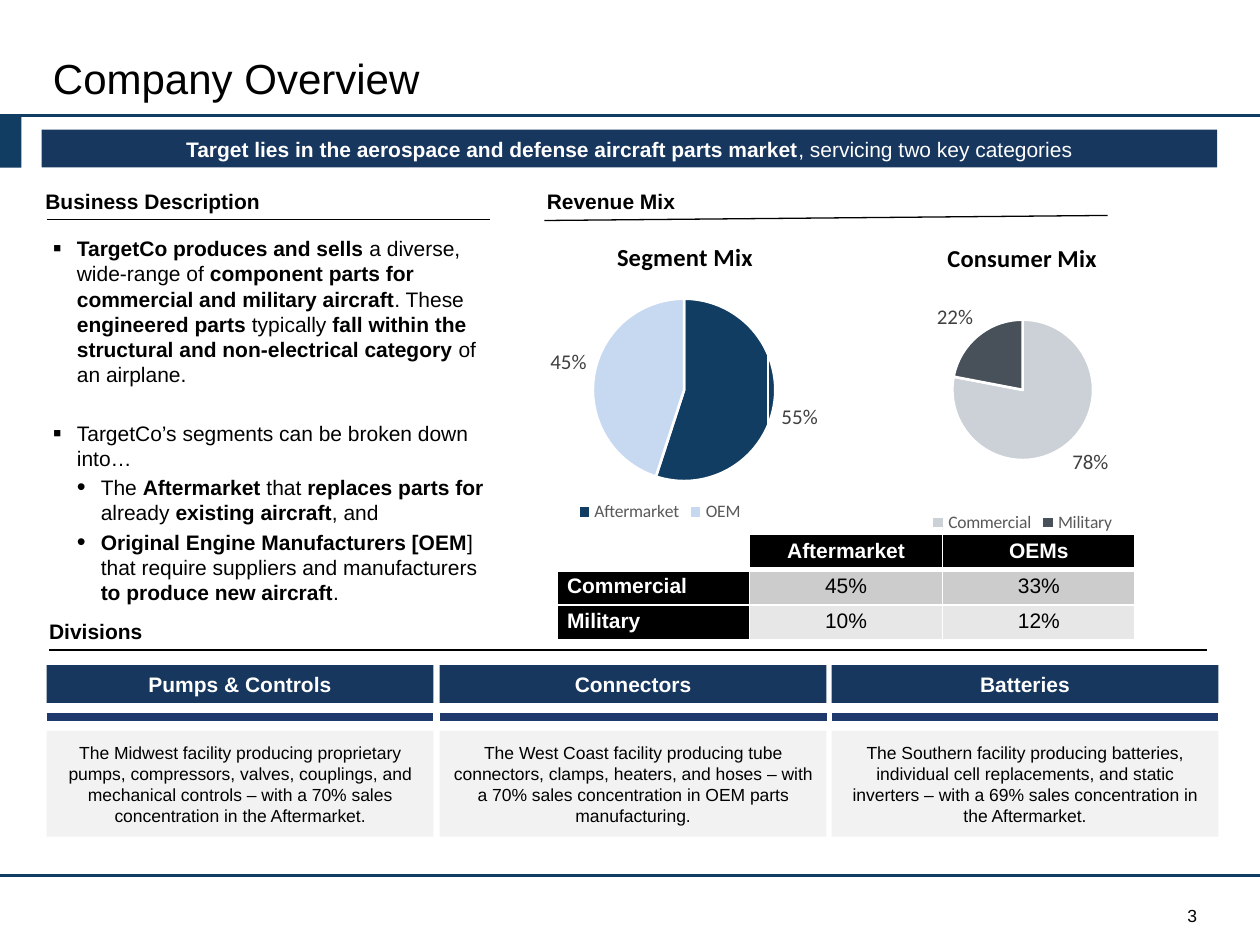
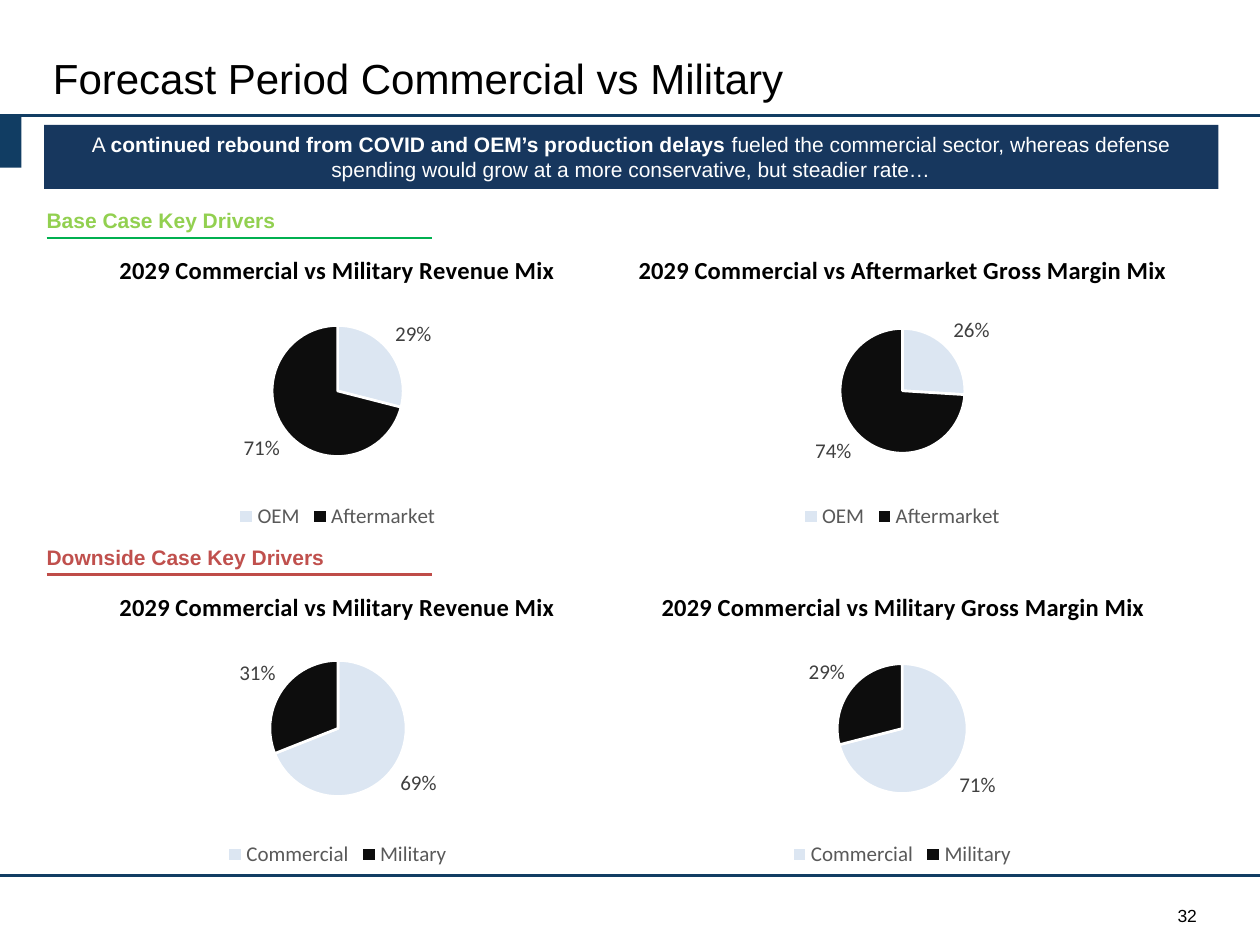
from lxml import etree
from pptx import Presentation
from pptx import util as u
from pptx.chart.data import CategoryChartData
from pptx.dml.color import RGBColor
from pptx.enum import chart as charts, shapes, text
from pptx.oxml import parse_xml
from pptx.oxml.ns import nsdecls, qn

WIDTH, HEIGHT = 10, 7.5
BLACK, WHITE, NAVY, BANNER, BAR = "000000", "FFFFFF", "113D63", "17375E", "20396D"
PALE, PANEL, INK = "DCE6F2", "F2F2F2", "0D0D0D"
LEFT, CENTER, RIGHT = text.PP_ALIGN.LEFT, text.PP_ALIGN.CENTER, text.PP_ALIGN.RIGHT
PADDING = (0.1, 0.05, 0.1, 0.05)

# Text between ** marks is bold.
OVERVIEW = dict(
    title="Company Overview", number="3", banner_at=(0.33, 1.03, 9.33, 0.3),
    banner="**Target lies in the aerospace and defense aircraft parts market**, "
           "servicing two key categories")
FORECAST = dict(
    title="Forecast Period Commercial vs Military", number="32",
    banner_at=(0.35, 0.99, 9.32, 0.51),
    banner="A **continued rebound from COVID and OEM’s production delays **fueled the "
           "commercial sector, whereas defense spending would grow at a more "
           "conservative, but steadier rate…")

# level, space before in points, text
DESCRIPTION = [
    (0, 0, "**TargetCo produces and sells **a diverse, wide-range of **component parts for "
           "commercial and military aircraft**. These **engineered parts **typically "
           "**fall within the structural and non-electrical category **of an airplane."),
    (0, 19, "TargetCo’s segments can be broken down into…"),
    (1, 2.4, "The **Aftermarket** that **replaces parts for** already **existing aircraft**, and"),
    (1, 2.4, "**Original Engine Manufacturers [OEM**] that require suppliers and "
             "manufacturers **to produce new aircraft**."),
]
# heading, its left, top and width, rule start, rule end, rule colour and weight, text colour
OVERVIEW_HEADINGS = [
    ("Business Description", (0.34, 1.48, 2.35), (0.37, 1.74), (3.89, 1.74), BLACK, 0.75, BLACK),
    ("Revenue Mix", (4.32, 1.48, 3.66), (4.32, 1.75), (8.79, 1.71), BLACK, 0.75, BLACK),
    ("Divisions", (0.37, 4.89, 4), (0.39, 5.16), (9.58, 5.16), BLACK, 0.75, BLACK),
]
FORECAST_HEADINGS = [
    ("Base Case Key Drivers", (0.35, 1.63, 3.98), (0.37, 1.89), (3.43, 1.89),
     "00B050", 1.5, "92D050"),
    ("Downside Case Key Drivers", (0.35, 4.3, 3.98), (0.37, 4.56), (3.43, 4.56),
     "BF4C48", 1.5, "C0504D"),
]
MIX_TABLE = [("", "Aftermarket", "OEMs"),
             ("Commercial", "45%", "33%"),
             ("Military", "10%", "12%")]
ROW_FILLS = [BLACK, "CCCCCC", "E7E7E7"]
# left edge, name, summary
DIVISIONS = [
    (0.37, "Pumps & Controls",
     "The Midwest facility producing proprietary pumps, compressors, valves, couplings, and "
     "mechanical controls – with a 70% sales concentration in the Aftermarket."),
    (3.49, "Connectors",
     "The West Coast facility producing tube connectors, clamps, heaters, and hoses – with a "
     "70% sales concentration in OEM parts manufacturing."),
    (6.6, "Batteries",
     "The Southern facility producing batteries, individual cell replacements, and static "
     "inverters – with a 69% sales concentration in the Aftermarket."),
]
SEGMENTS, CUSTOMERS = ("OEM", "Aftermarket"), ("Commercial", "Military")
# title, title width, pie diameter, categories, values, colours
SEGMENT_MIX = ("Segment Mix", 1.14, 1.45, ("Aftermarket", "OEM"), (0.55, 0.45),
               (NAVY, "C6D9F1"))
CONSUMER_MIX = ("Consumer Mix", 1.26, 1.12, CUSTOMERS, (0.78, 0.22), ("CCD1D7", "485059"))
FORECAST_PIES = [
    [("2029 Commercial vs Military Revenue Mix", 3.53, 1.04, SEGMENTS, (0.29, 0.71),
      (PALE, INK)),
     ("2029 Commercial vs Aftermarket Gross Margin Mix", 4.25, 0.99, SEGMENTS, (0.26, 0.74),
      (PALE, INK))],
    [("2029 Commercial vs Military Revenue Mix", 3.53, 1.08, CUSTOMERS, (0.69, 0.31),
      (PALE, INK)),
     ("2029 Commercial vs Military Gross Margin Mix", 3.89, 1.03, CUSTOMERS, (0.71, 0.29),
      (PALE, INK))],
]


def color(value):
    return RGBColor.from_string(value)


def inches(values):
    return [u.Inches(value) for value in values]


def style(font, size, ink, name="Arial", bold=None):
    font.size, font.name, font.bold = u.Pt(size), name, bold
    font.color.rgb = color(ink)


def add_spans(para, marked):
    for index, part in enumerate(marked.split("**")):
        if part:
            span = para.add_run()
            span.text = part
            span.font.bold = index % 2 == 1


def set_frame(frame, insets=(0, 0, 0, 0), anchor=text.MSO_ANCHOR.MIDDLE):
    frame.word_wrap, frame.auto_size = True, text.MSO_AUTO_SIZE.NONE
    frame.vertical_anchor = anchor
    (frame.margin_left, frame.margin_top,
     frame.margin_right, frame.margin_bottom) = inches(insets)


def write(box, marked, size, ink, align=LEFT, **frame_options):
    set_frame(box.text_frame, **frame_options)
    para = box.text_frame.paragraphs[0]
    para.alignment = align
    style(para.font, size, ink)
    add_spans(para, marked)


def move(shape, at):
    shape.left, shape.top, shape.width, shape.height = inches(at)


def add_box(slide, at, fill):
    box = slide.shapes.add_shape(shapes.MSO_SHAPE.RECTANGLE, *inches(at))
    box.shadow.inherit = False
    box.fill.solid()
    box.fill.fore_color.rgb = color(fill)
    box.line.fill.background()
    return box


def add_rule(slide, start, end, ink, weight):
    rule = slide.shapes.add_connector(shapes.MSO_CONNECTOR.STRAIGHT, *inches(start + end))
    rule.line.color.rgb = color(ink)
    rule.line.width = u.Pt(weight)
    etree.SubElement(rule._element.spPr, qn("a:effectLst"))


def add_slide(deck, layout, page):
    """Add a slide with the shared title, bands, banner and page number."""
    slide = deck.slides.add_slide(deck.slide_layouts[layout])
    for y in (0.92, 6.95):
        add_rule(slide, (0, y), (WIDTH, y), NAVY, 1.75)
    add_box(slide, (0, 0.92, 0.17, 0.41), NAVY)
    move(slide.shapes.title, (0.42, 0.42, 9.08, 0.4))
    write(slide.shapes.title, page["title"], 24, BLACK)
    write(add_box(slide, page["banner_at"], BANNER), page["banner"], 12, WHITE, CENTER,
          insets=PADDING)
    number = slide.shapes.add_textbox(*inches((7.17, 7.18, 2.33, 0.17)))
    write(number, page["number"], 10, BLACK, RIGHT, anchor=text.MSO_ANCHOR.BOTTOM)
    return slide


def add_headings(slide, headings):
    for label, at, start, end, rule_ink, weight, ink in headings:
        box = slide.shapes.add_textbox(*inches(at + (0.22,)))
        write(box, f"**{label}**", 12, ink, insets=(0.02, 0.02, 0, 0),
              anchor=text.MSO_ANCHOR.TOP)
        add_rule(slide, start, end, rule_ink, weight)


def set_layout(element, index, inner=False, **shares):
    """Place a chart part by shares (x, y, w, h) of the chart's size."""
    for old in element.findall(qn("c:layout")):
        element.remove(old)
    target = '<c:layoutTarget val="inner"/>' if inner else ""
    modes = "".join(f'<c:{key}Mode val="edge"/>' for key in shares if key in "xy")
    values = "".join(f'<c:{key} val="{value:.3f}"/>' for key, value in shares.items())
    element.insert(index, parse_xml(
        f'<c:layout {nsdecls("c")}><c:manualLayout>{target}{modes}{values}'
        "</c:manualLayout></c:layout>"))


def add_pie(slide, at, pie, legend_size, middle, legend_at=None, border=None):
    """Add a pie whose centre lies at the share middle of the chart's height."""
    title, title_width, diameter, categories, values, fills = pie
    width, height = at[2:]
    data = CategoryChartData(number_format="0%")
    data.categories = categories
    data.add_series("Series 1", values)
    chart = slide.shapes.add_chart(charts.XL_CHART_TYPE.PIE, *inches(at), data).chart
    style(chart.font, 10, BLACK, "Calibri")

    chart.has_title = True
    para = chart.chart_title.text_frame.paragraphs[0]
    span = para.add_run()
    span.text = title
    style(span.font, 14, BLACK, "Calibri", True)
    set_layout(chart.chart_title._element, 1,
               x=0.5 - title_width / width / 2, y=0.1 / height)

    chart.has_legend = True
    chart.legend.position = charts.XL_LEGEND_POSITION.BOTTOM
    chart.legend.include_in_layout = False
    style(chart.legend.font, legend_size, "595959", "Calibri")
    if legend_at:
        set_layout(chart.legend._element, 1, x=legend_at[0], y=legend_at[1])

    plot = chart.plots[0]
    plot.vary_by_categories = True
    plot.has_data_labels = True
    labels = plot.data_labels
    labels.show_value, labels.show_percentage = True, False
    labels.number_format, labels.number_format_is_linked = "0%", False
    labels.position = charts.XL_LABEL_POSITION.OUTSIDE_END
    style(labels.font, 12, "404040", "Calibri")
    for index, fill in enumerate(fills):
        wedge = plot.series[0].points[index].format
        wedge.fill.solid()
        wedge.fill.fore_color.rgb = color(fill)
        wedge.line.color.rgb = color(WHITE)
        wedge.line.width = u.Pt(1.5)
    w, h = diameter / width, diameter / height
    set_layout(chart._chartSpace.chart.plotArea, 0, inner=True,
               x=0.5 - w / 2, y=middle - h / 2, w=w, h=h)

    outline = (f'<a:solidFill><a:srgbClr val="{border}"/></a:solidFill>' if border
               else "<a:noFill/>")
    chart._chartSpace.find(qn("c:txPr")).addprevious(parse_xml(
        f'<c:spPr {nsdecls("c", "a")}><a:noFill/><a:ln w="9525">{outline}</a:ln></c:spPr>'))


def fill_description(body):
    move(body, (0.42, 1.82, 3.47, 3.05))
    frame = body.text_frame
    set_frame(frame, (0, 0.05, 0, 0.05), text.MSO_ANCHOR.TOP)
    for index, (level, gap, marked) in enumerate(DESCRIPTION):
        para = frame.add_paragraph() if index else frame.paragraphs[0]
        para.level = level
        para.space_before = u.Pt(gap)
        props = para._p.get_or_add_pPr()
        props.set("marL", str(u.Inches(0.19 * (level + 1))))
        props.set("indent", str(u.Inches(-0.19)))
        etree.SubElement(props, qn("a:buSzPct")).set("val", "120000")
        etree.SubElement(props, qn("a:buFont")).set("typeface", "Arial")
        etree.SubElement(props, qn("a:buChar")).set("char", "▪•"[level])
        style(para.font, 12, BLACK)
        add_spans(para, marked)


def add_mix_table(slide):
    frame = slide.shapes.add_table(3, 3, *inches((4.42, 4.24, 4.59, 0.84)))
    for r, row in enumerate(MIX_TABLE):
        for c, label in enumerate(row):
            cell = frame.table.cell(r, c)
            heading = r == 0 or c == 0
            props = cell._tc.get_or_add_tcPr()
            for side in "LRTB":
                thick = (side, r) in (("B", 0), ("T", 1))
                props.append(parse_xml(
                    f'<a:ln{side} {nsdecls("a")} w="{u.Pt(3 if thick else 1)}"><a:solidFill>'
                    f'<a:srgbClr val="{WHITE}"/></a:solidFill></a:ln{side}>'))
            cell.fill.solid()
            cell.fill.fore_color.rgb = color(
                WHITE if not label else BLACK if heading else ROW_FILLS[r])
            cell.margin_left = cell.margin_right = u.Inches(0.08)
            cell.margin_top = cell.margin_bottom = u.Inches(0.04)
            para = cell.text_frame.paragraphs[0]
            para.alignment = CENTER if c else LEFT
            style(para.font, 12, WHITE if heading else BLACK)
            add_spans(para, f"**{label}**" if heading else label)


def add_divisions(slide):
    width = 3.07
    for x, name, summary in DIVISIONS:
        write(add_box(slide, (x, 5.28, width, 0.3), BANNER), f"**{name}**", 12, WHITE, CENTER)
        add_rule(slide, (x, 5.69), (x + width, 5.69), BAR, 4.5)
        write(add_box(slide, (x, 5.8, width, 0.84), PANEL), summary, 10, BLACK, CENTER,
              insets=PADDING)


def main():
    deck = Presentation()
    deck.slide_width, deck.slide_height = inches((WIDTH, HEIGHT))

    overview = add_slide(deck, 1, OVERVIEW)
    fill_description(overview.placeholders[1])
    add_headings(overview, OVERVIEW_HEADINGS)
    add_divisions(overview)
    add_pie(overview, (3.43, 1.77, 4, 2.5), SEGMENT_MIX, 10, 0.53, legend_at=(0.28, 0.87))
    add_pie(overview, (6.09, 1.77, 4.05, 2.5), CONSUMER_MIX, 10, 0.53, border=WHITE)
    add_mix_table(overview)

    forecast = add_slide(deck, 5, FORECAST)
    add_headings(forecast, FORECAST_HEADINGS)
    for row, pies in enumerate(FORECAST_PIES):
        for column, pie in enumerate(pies):
            at = (-0.09 + 4.48 * column, 1.87 + 2.68 * row, 5.54, 2.37)
            add_pie(forecast, at, pie, 12, 0.52)

    deck.save("out.pptx")


if __name__ == "__main__":
    main()
